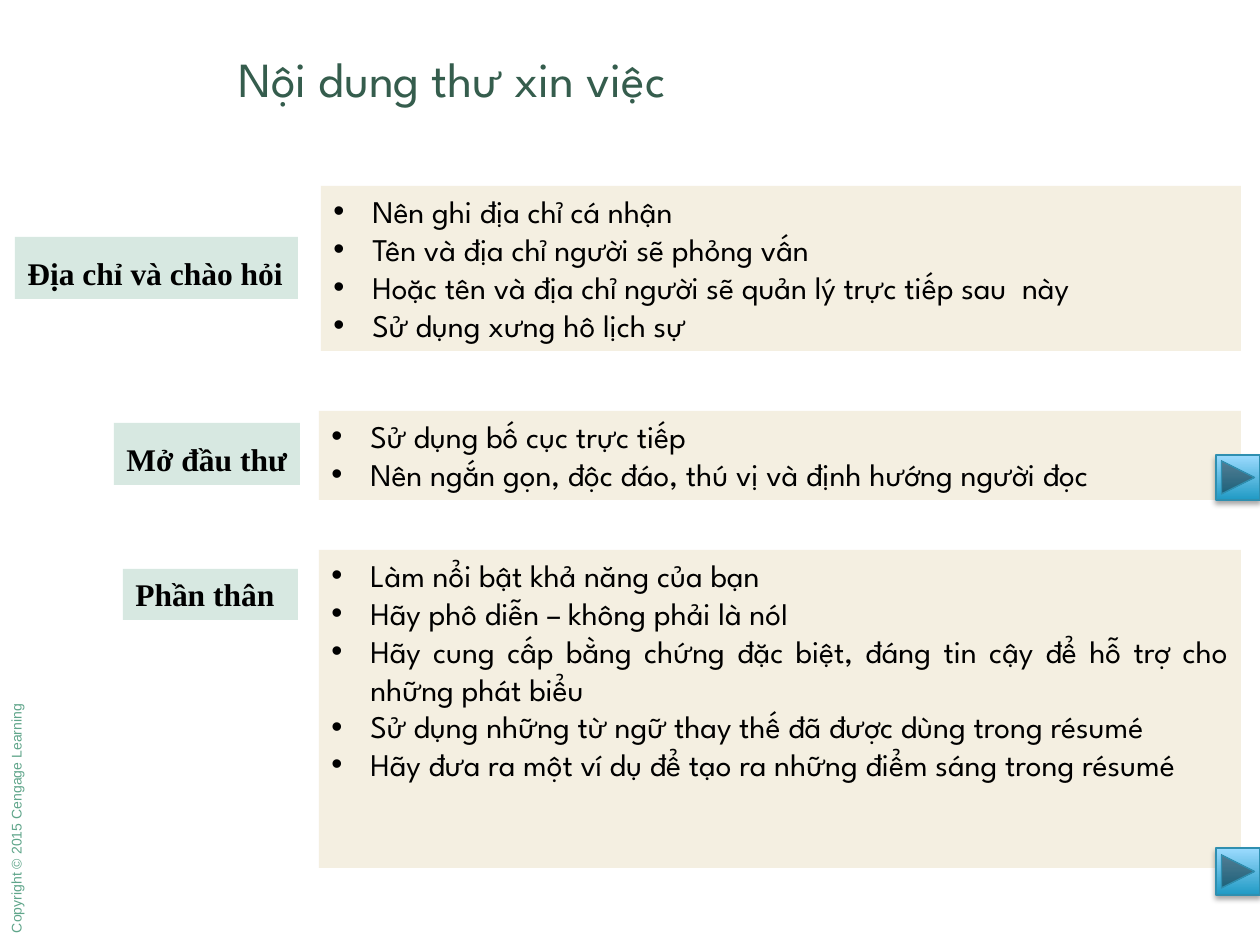
"""Builds the slide on the contents of a job application letter."""
import pptx
import pptx.util
import pptx.dml.color
import pptx.enum.shapes
import pptx.enum.text
import pptx.oxml
import pptx.oxml.ns

TITLE = "Nội dung thư xin việc"
COPYRIGHT = "Copyright © 2015 Cengage Learning"
SECTIONS = [
    {"label": "Địa chỉ và chào hỏi", "label_box": (15, 237, 283, 62), "spacing": 1.3,
     "card_box": (321, 186, 920, 165), "align": "LEFT",
     "points": ["Nên ghi địa chỉ cá nhận",
                "Tên và địa chỉ người sẽ phỏng vấn",
                "Hoặc tên và địa chỉ người sẽ quản lý trực tiếp sau  này",
                "Sử dụng xưng hô lịch sự"]},
    {"label": "Mở đầu thư", "label_box": (114, 423, 186, 62), "spacing": 1.3,
     "card_box": (319, 411, 922, 89), "align": "LEFT",
     "points": ["Sử dụng bố cục trực tiếp",
                "Nên ngắn gọn, độc đáo, thú vị và định hướng người đọc"]},
    {"label": "Phần thân", "label_box": (123, 569, 175, 51), "spacing": 1.0,
     "card_box": (319, 550, 922, 318), "align": "JUSTIFY",
     "points": ["Làm nổi bật khả năng của bạn",
                "Hãy phô diễn – không phải là nóI",
                "Hãy cung cấp bằng chứng đặc biệt, đáng tin cậy để hỗ trợ cho những phát biểu",
                "Sử dụng những từ ngữ thay thế đã được dùng trong résumé",
                "Hãy đưa ra một ví dụ để tạo ra những điểm sáng trong résumé"]},
]
BUTTONS = [(1216, 455, 44, 45), (1216, 848, 44, 47)]
THEME = {
    "title": "355D4D", "copyright": "5FA58A", "text": "000000",
    "label": "D7E8E1", "card": "F4EFE1",
    "button": ("209AC4", "9CDBFF"), "button_line": "2F8FB0",
    "title_size": 28, "body_size": 18, "copyright_size": 8,
    "display": "League Spartan", "serif": "Times New Roman", "sans": "Arial",
}
PX = 914400 // 126
INDENT = 39
SHAPES = pptx.enum.shapes.MSO_SHAPE


def emu(box):
    return [pptx.util.Emu(length * PX) for length in box]


def rgb(value):
    return pptx.dml.color.RGBColor.from_string(value)


def add_bullet(paragraph):
    properties = paragraph._p.get_or_add_pPr()
    properties.set("marL", str(INDENT * PX))
    properties.set("indent", str(-INDENT * PX))
    namespace = pptx.oxml.ns.nsdecls("a")
    for tag in ('buFont %s typeface="Arial"', 'buChar %s char="•"'):
        properties.append(pptx.oxml.parse_xml(f"<a:{tag % namespace}/>"))


def add_text(slide, lines, box, fill=None, font="display", size="body_size", color="text",
             bold=False, align="LEFT", anchor="TOP", spacing=None, bullets=False, rotation=0):
    if fill:
        holder = slide.shapes.add_shape(SHAPES.RECTANGLE, *emu(box))
        holder.shadow.inherit = False
        holder.fill.solid()
        holder.fill.fore_color.rgb = rgb(THEME[fill])
        holder.line.fill.background()
    else:
        holder = slide.shapes.add_textbox(*emu(box))
    holder.rotation = rotation
    frame = holder.text_frame
    frame.word_wrap = True
    frame.vertical_anchor = getattr(pptx.enum.text.MSO_ANCHOR, anchor)
    if not bullets:
        frame.margin_right = 0
    for index, line in enumerate(lines):
        paragraph = frame.add_paragraph() if index else frame.paragraphs[0]
        paragraph.alignment = getattr(pptx.enum.text.PP_ALIGN, align)
        if spacing:
            paragraph.line_spacing = spacing
        if bullets:
            add_bullet(paragraph)
        run = paragraph.add_run()
        run.text = line
        run.font.name = THEME[font]
        run.font.size = pptx.util.Pt(THEME[size])
        run.font.bold = bold
        run.font.color.rgb = rgb(THEME[color])


def add_button(slide, box):
    button = slide.shapes.add_shape(SHAPES.ACTION_BUTTON_FORWARD_OR_NEXT, *emu(box))
    button.fill.gradient()
    button.fill.gradient_angle = 90
    for stop, color in zip(button.fill.gradient_stops, THEME["button"]):
        stop.color.rgb = rgb(color)
    button.line.color.rgb = rgb(THEME["button_line"])
    button.line.width = pptx.util.Pt(0.75)
    button.shadow.inherit = False
    effects = button._element.spPr.find(pptx.oxml.ns.qn("a:effectLst"))
    effects.append(pptx.oxml.parse_xml(
        f'<a:outerShdw {pptx.oxml.ns.nsdecls("a")} blurRad="{pptx.util.Pt(3.1)}" '
        f'dist="{pptx.util.Pt(1.8)}" dir="5400000" rotWithShape="0">'
        '<a:srgbClr val="000000"><a:alpha val="35000"/></a:srgbClr></a:outerShdw>'))


def main():
    deck = pptx.Presentation()
    deck.slide_width, deck.slide_height = emu((1260, 945))
    slide = deck.slides.add_slide(deck.slide_layouts[6])
    add_text(slide, [COPYRIGHT], (-112, 803, 256, 29), font="sans",
             size="copyright_size", color="copyright", rotation=270)
    add_text(slide, [TITLE], (226, 0, 1034, 155), size="title_size",
             color="title", anchor="MIDDLE")
    for section in SECTIONS:
        add_text(slide, [section["label"]], section["label_box"], fill="label",
                 font="serif", bold=True, spacing=section["spacing"])
        add_text(slide, section["points"], section["card_box"], fill="card",
                 align=section["align"], bullets=True)
    for box in BUTTONS:
        add_button(slide, box)
    deck.save("out.pptx")


if __name__ == "__main__":
    main()
